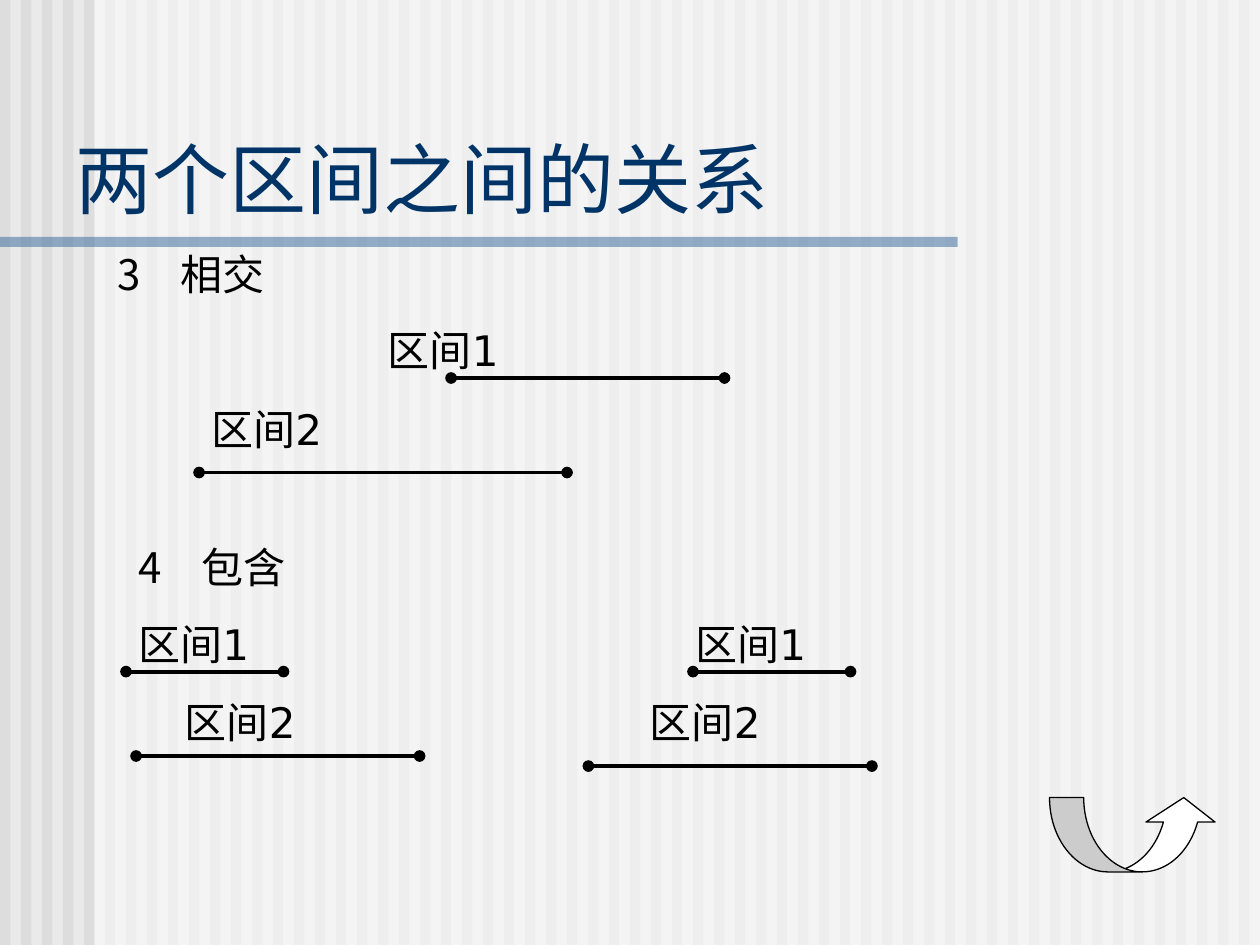
from pptx import Presentation
from pptx import util as u
from pptx.dml import color
from pptx.enum import shapes, text
from pptx.oxml import ns
from lxml import etree

COLORS = {"paper": "EAEAEA", "stripe": "DDDDDD", "white": "FFFFFF",
          "rule": "336699", "title": "003366", "ink": "000000"}
BODY_FONT, TITLE_FONT = "DejaVu Sans", "Times New Roman"
STRIPES = 60
ROW_TOPS = (0.61, 1.23)
ROW_HEIGHT = 0.5
LABEL_WIDTH = 1.3


def rgb(name):
    """Return the named palette colour."""
    return color.RGBColor.from_string(COLORS[name])


def add_xml(parent, tag, **attrs):
    """Append a DrawingML child element."""
    return etree.SubElement(parent, ns.qn(tag), attrs)


def place(sp, box):
    """Move a shape to a box given in inches."""
    sp.left, sp.top, sp.width, sp.height = map(u.Inches, box)


def add_band(s, box, fill, alpha=None):
    """Add a borderless rectangle, optionally translucent."""
    sp = s.shapes.add_shape(shapes.MSO_SHAPE.RECTANGLE, *map(u.Inches, box))
    sp.shadow.inherit = False
    sp.fill.solid()
    sp.fill.fore_color.rgb = rgb(fill)
    sp.line.fill.background()
    if alpha:
        clr = sp.element.spPr.find(".//" + ns.qn("a:srgbClr"))
        add_xml(clr, "a:alpha", val=str(alpha * 1000))


def add_backdrop(s, box):
    """Draw the striped paper, its white veil and the title rule."""
    left, top, width, height = box
    s.background.fill.solid()
    s.background.fill.fore_color.rgb = rgb("paper")
    pitch = width / STRIPES
    for i in range(STRIPES):
        add_band(s, (left + i * pitch, top, pitch / 2, height), "stripe")
    add_band(s, (left + 0.75, top, width - 0.75, height), "white", 50)
    add_band(s, (left, top + 1.88, 7.6, 0.08), "rule", 50)


def prepare_frame(sp, box, anchor):
    """Bring a placeholder to the front, place it and clear its autofit."""
    place(sp, box)
    sp.element.getparent().append(sp.element)
    tf = sp.text_frame
    tf.word_wrap = True
    tf.auto_size = text.MSO_AUTO_SIZE.NONE
    tf.vertical_anchor = anchor
    return tf


def add_run(p, words, font, size, ink):
    """Add one formatted run."""
    r = p.add_run()
    r.text = words
    r.font.name, r.font.size = font, u.Pt(size)
    r.font.color.rgb = rgb(ink)


def add_title(s, box, words):
    """Fill the title placeholder."""
    tf = prepare_frame(s.shapes.title, box, text.MSO_ANCHOR.BOTTOM)
    p = tf.paragraphs[0]
    p.alignment = text.PP_ALIGN.LEFT
    add_run(p, words, TITLE_FONT, 44, "title")


def add_heading(sp, box, number, words):
    """Fill a body placeholder with one numbered item."""
    p = prepare_frame(sp, box, text.MSO_ANCHOR.TOP).paragraphs[0]
    pPr = p._p.get_or_add_pPr()
    pPr.set("marL", str(u.Inches(0.5)))
    pPr.set("indent", str(u.Inches(-0.5)))
    p.space_before = u.Pt(15)
    add_xml(add_xml(pPr, "a:buClr"), "a:srgbClr", val=COLORS["ink"])
    add_xml(pPr, "a:buAutoNum", type="arabicPlain", startAt=str(number))
    add_run(p, words, BODY_FONT, 24, "ink")


def add_label(s, box, words):
    """Add the name of an interval."""
    tf = s.shapes.add_textbox(*map(u.Inches, box)).text_frame
    tf.word_wrap = True
    add_run(tf.paragraphs[0], words, BODY_FONT, 24, "ink")


def add_interval(s, x1, x2, y):
    """Draw a closed interval with a dot at each end."""
    line = s.shapes.add_connector(shapes.MSO_CONNECTOR.STRAIGHT,
                                  *map(u.Inches, (x1, y, x2, y)))
    line.line.width = u.Pt(2.25)
    line.line.color.rgb = rgb("ink")
    ln = line.line._get_or_add_ln()
    add_xml(ln, "a:headEnd", type="oval")
    add_xml(ln, "a:tailEnd", type="oval")
    add_xml(line.element.spPr, "a:effectLst")


def add_relation(s, sp, box, number, heading, label_rows, intervals):
    """Place a numbered heading, its interval labels and the intervals."""
    left, top, width, _ = box
    add_heading(sp, (left, top, width, ROW_HEIGHT), number, heading)
    for i, (row_top, offsets) in enumerate(zip(ROW_TOPS, label_rows), 1):
        for dx in offsets:
            add_label(s, (left + dx, top + row_top, LABEL_WIDTH, ROW_HEIGHT),
                      f"区间{i}")
    for x1, x2, y in intervals:
        add_interval(s, left + x1, left + x2, top + y)


def add_return_arrow(s, box):
    """Draw the curved return arrow."""
    sp = s.shapes.add_shape(shapes.MSO_SHAPE.CURVED_UP_ARROW,
                            *map(u.Inches, box))
    sp.shadow.inherit = False
    for i, value in enumerate((0.46, 0.93, 0.33)):
        sp.adjustments[i] = value
    sp.fill.solid()
    sp.fill.fore_color.rgb = rgb("white")
    sp.line.color.rgb = rgb("ink")
    sp.line.width = u.Pt(0.75)


def main():
    """Build the slide on interval relations."""
    prs = Presentation()
    prs.slide_width, prs.slide_height = u.Inches(10), u.Inches(7.5)
    s = prs.slides.add_slide(prs.slide_layouts.get_by_name("Two Content"))
    crossing, containing = s.placeholders[1], s.placeholders[2]
    add_backdrop(s, (0, 0, 10, 7.5))
    add_relation(s, crossing, (0.83, 1.92, 6.83, 2.33), 3, "相交",
                 [(2.15,), (0.75,)],
                 [(2.75, 4.92, 1.08), (0.75, 3.67, 1.83)])
    add_relation(s, containing, (1, 4.25, 6.08, 2.33), 4, "包含",
                 [(0, 4.42), (0.37, 4.06)],
                 [(0, 1.25, 1.08), (0.08, 2.33, 1.75),
                  (4.5, 5.75, 1.08), (3.67, 5.92, 1.83)])
    add_title(s, (0.5, 1, 7.71, 0.83), "两个区间之间的关系")
    add_return_arrow(s, (8.33, 6.33, 1.34, 0.59))
    prs.save("out.pptx")


if __name__ == "__main__":
    main()
